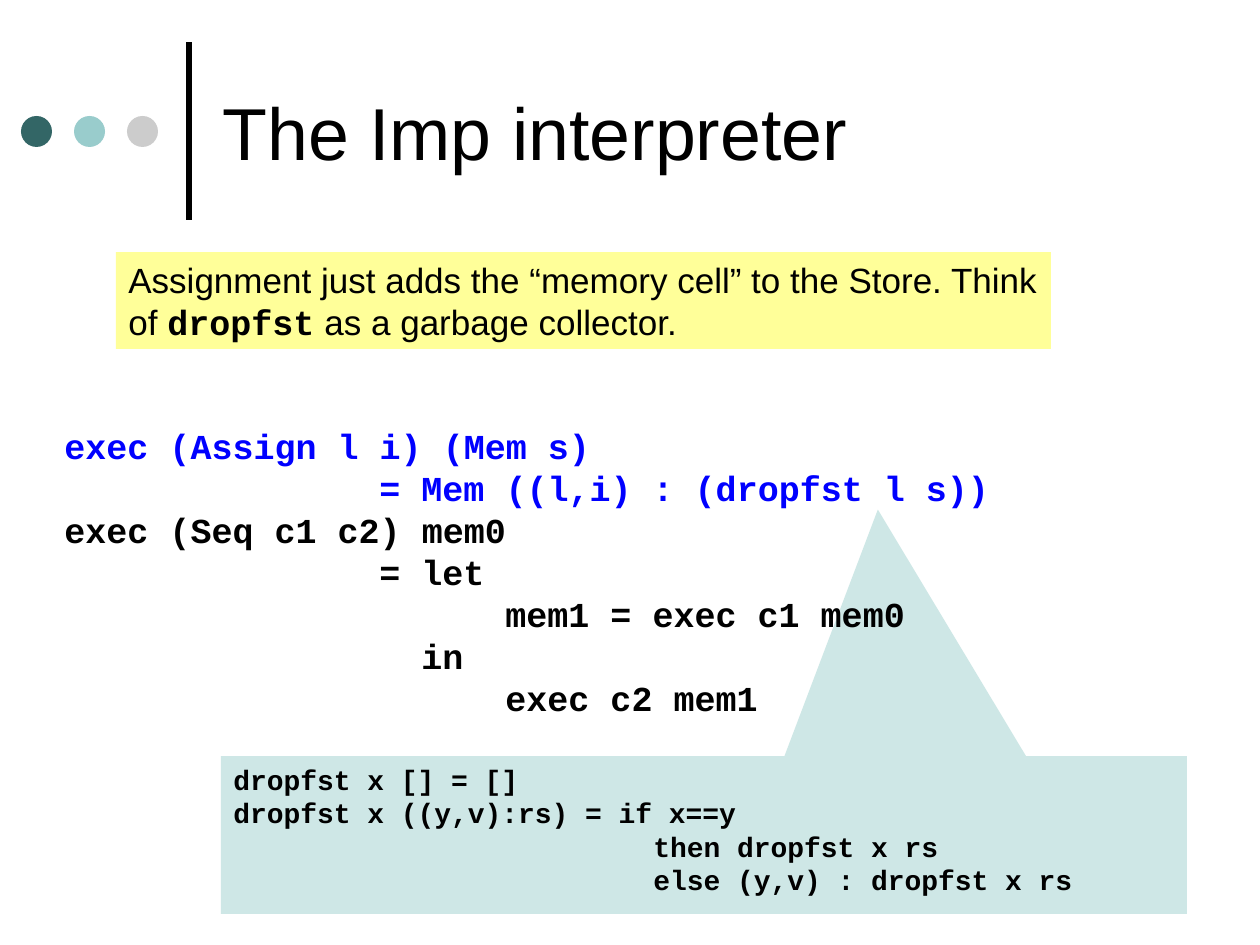
import pptx
import pptx.dml.color
import pptx.enum.shapes
import pptx.enum.text
import pptx.oxml
import pptx.util

PX = 914400 / 126
MONO_WIDTH = 0.6  # advance of a Courier New character, in ems
COLORS = {
    "black": "000000", "blue": "0000FF", "yellow": "FFFF99", "callout": "CEE7E6",
    "teal": "336666", "aqua": "99CCCC", "gray": "CCCCCC",
}
SHAPES = pptx.enum.shapes.MSO_SHAPE


def add_block(kind, box, fill=None):
    """Add a preset shape, or a text box when kind is None."""
    place = [round(v * PX) for v in box]
    if kind is None:
        return slide.shapes.add_textbox(*place)
    block = slide.shapes.add_shape(kind, *place)
    block.shadow.inherit = False
    block.fill.solid()
    block.fill.fore_color.rgb = pptx.dml.color.RGBColor.from_string(COLORS[fill])
    block.line.fill.background()
    return block


def write(block, lines, size, font, bold=False, wrap=False, anchor="TOP"):
    """Write (indent in characters, colour, text) lines into a block."""
    frame = block.text_frame
    frame.word_wrap = wrap
    frame.vertical_anchor = getattr(pptx.enum.text.MSO_ANCHOR, anchor)
    frame.text = "\n".join(text for _, _, text in lines)
    for paragraph, (indent, color, _) in zip(frame.paragraphs, lines):
        paragraph.alignment = pptx.enum.text.PP_ALIGN.LEFT
        margin = pptx.util.Pt(indent * size * MONO_WIDTH)
        paragraph._p.get_or_add_pPr().set("marL", str(margin))
        for run in paragraph.runs:
            run.font.size = pptx.util.Pt(size)
            run.font.name = font
            run.font.bold = bold
            run.font.color.rgb = pptx.dml.color.RGBColor.from_string(COLORS[color])


deck = pptx.Presentation()
deck.slide_width = pptx.util.Inches(10)
deck.slide_height = pptx.util.Inches(7.5)
slide = deck.slides.add_slide(deck.slide_layouts[6])

# Title rule and dots
rule = slide.shapes.add_connector(
    pptx.enum.shapes.MSO_CONNECTOR.STRAIGHT,
    *[round(v * PX) for v in (189, 220, 189, 42)])
rule.line.width = pptx.util.Pt(3)
rule.line.color.rgb = pptx.dml.color.RGBColor.from_string(COLORS["black"])
rule._element.spPr.append(pptx.oxml.parse_xml(
    '<a:effectLst xmlns:a="http://schemas.openxmlformats.org/drawingml/2006/main"/>'))
for i, dot_color in enumerate(("teal", "aqua", "gray")):
    add_block(SHAPES.OVAL, (21 + 53 * i, 116, 31, 31), dot_color)

# Title
title = add_block(None, (210, 26, 966, 210))
write(title, [(0, "black", "The Imp interpreter")], 42, "Arial", wrap=True, anchor="MIDDLE")

# Callout defining dropfst
definition = add_block(SHAPES.RECTANGULAR_CALLOUT, (221, 756, 966, 158), "callout")
definition.adjustments[0] = 0.18
definition.adjustments[1] = -2.06
write(definition, [
    (0, "black", "dropfst x [] = []"),
    (0, "black", "dropfst x ((y,v):rs) = if x==y"),
    (25, "black", "then dropfst x rs"),
    (25, "black", "else (y,v) : dropfst x rs"),
], 16, "Courier New", bold=True, wrap=True)

# Note on assignment, with the function name in code style
note = add_block(SHAPES.RECTANGLE, (116, 252, 935, 97), "yellow")
write(note, [
    (0, "black", "Assignment just adds the “memory cell” to the Store. Think"),
    (0, "black", "of "),
], 20, "Arial")
for text, font, bold in (("dropfst", "Courier New", True),
                         (" as a garbage collector.", "Arial", False)):
    run = note.text_frame.paragraphs[1].add_run()
    run.text = text
    run.font.size = pptx.util.Pt(20)
    run.font.name = font
    run.font.bold = bold
    run.font.color.rgb = pptx.dml.color.RGBColor.from_string(COLORS["black"])

# Interpreter code
code = add_block(None, (52, 418, 951, 349))
write(code, [
    (0, "blue", "exec (Assign l i) (Mem s)"),
    (15, "blue", "= Mem ((l,i) : (dropfst l s))"),
    (0, "black", "exec (Seq c1 c2) mem0"),
    (15, "black", "= let"),
    (21, "black", "mem1 = exec c1 mem0"),
    (17, "black", "in"),
    (21, "black", "exec c2 mem1"),
], 20, "Courier New", bold=True)

deck.save("out.pptx")
